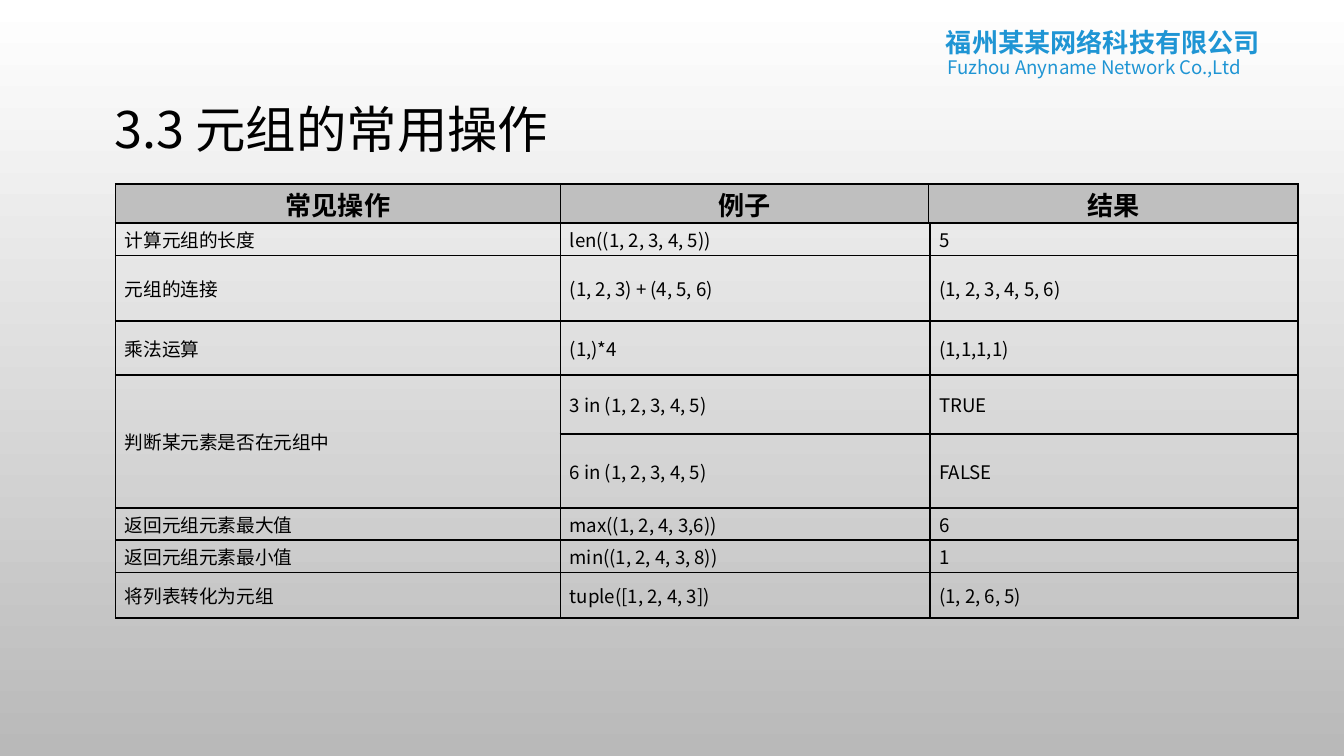
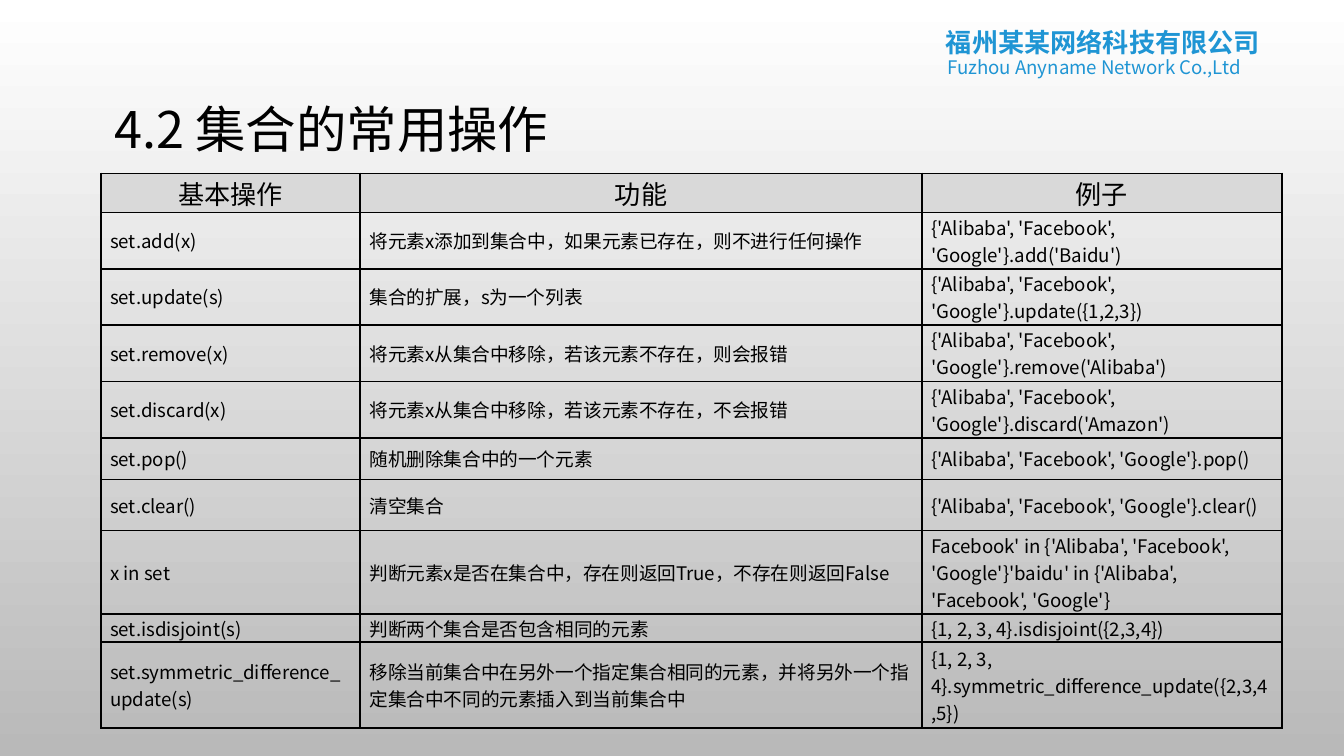
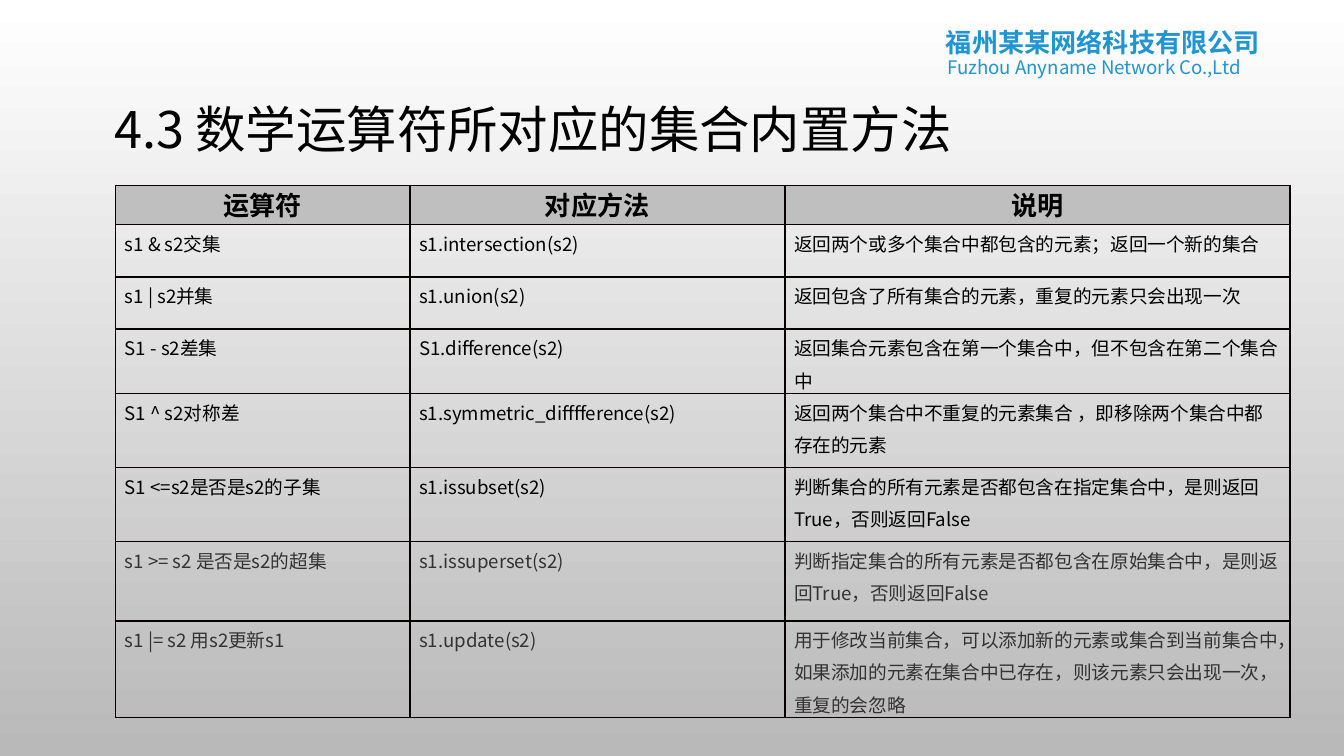
from lxml.etree import SubElement as Sub
from pptx import Presentation
from pptx.dml.color import RGBColor
from pptx.enum.text import MSO_ANCHOR as Anchor, MSO_AUTO_SIZE as Auto, PP_ALIGN as Align
from pptx.oxml.ns import qn
from pptx.util import Inches, Pt

FONT = "Noto Sans CJK SC"
BLACK = RGBColor(0x00, 0x00, 0x00)
INK = RGBColor(0x08, 0x00, 0x00)
SOFT = RGBColor(0x33, 0x33, 0x33)
BLUE = RGBColor(0x1F, 0x95, 0xD4)
WHITE = RGBColor(0xFF, 0xFF, 0xFF)
GREY = RGBColor(0xB9, 0xB9, 0xB9)
MID = RGBColor(0xBF, 0xBF, 0xBF)
PALE = RGBColor(0xD9, 0xD9, 0xD9)

# Company lines at the top right: text, place, format
BRAND = [
    ("福州某某网络科技有限公司", (6.94, 0.15, 2.67, 0.34), dict(size=Pt(14), bold=True)),
    ("Fuzhou Anyname Network Co.,Ltd", (6.95, 0.37, 2.66, 0.27), dict(size=Pt(10))),
]

# One dict per slide; None in a row joins the cell to its left,
# or to the one above when it is the first in the row
PAGES = [
    dict(
        title="3.3 元组的常用操作",
        at=(0.86, 1.37), cols=(3.31, 2.74, 0.01, 2.74),
        high=(0.29, 0.24, 0.49, 0.4, 0.44, 0.55, 0.24, 0.24, 0.34),
        head=MID, bold=True, line=BLACK, anchor=Anchor.MIDDLE, space=None, soft=(),
        rows=[
            ("常见操作", "例子", "结果", None),
            ("计算元组的长度", "len((1, 2, 3, 4, 5))", None, "5"),
            ("元组的连接", "(1, 2, 3) + (4, 5, 6)", None, "(1, 2, 3, 4, 5, 6)"),
            ("乘法运算", "(1,)*4", None, "(1,1,1,1)"),
            ("判断某元素是否在元组中", "3 in (1, 2, 3, 4, 5)", None, "TRUE"),
            (None, "6 in (1, 2, 3, 4, 5)", None, "FALSE"),
            ("返回元组元素最大值", "max((1, 2, 4, 3,6))", None, "6"),
            ("返回元组元素最小值", "min((1, 2, 4, 3, 8))", None, "1"),
            ("将列表转化为元组", "tuple([1, 2, 4, 3])", None, "(1, 2, 6, 5)"),
        ],
    ),
    dict(
        title="4.2 集合的常用操作",
        at=(0.75, 1.29), cols=(1.93, 4.18, 2.68),
        high=(0.29, 0.42, 0.42, 0.42, 0.42, 0.31, 0.38, 0.62, 0.21, 0.64),
        head=PALE, bold=False, line=BLACK, anchor=Anchor.MIDDLE, space=None, soft=(),
        rows=[
            ("基本操作", "功能", "例子"),
            ("set.add(x)", "将元素x添加到集合中，如果元素已存在，则不进行任何操作",
             "{'Alibaba', 'Facebook', 'Google'}.add('Baidu')"),
            ("set.update(s)", "集合的扩展，s为一个列表",
             "{'Alibaba', 'Facebook', 'Google'}.update({1,2,3})"),
            ("set.remove(x)", "将元素x从集合中移除，若该元素不存在，则会报错",
             "{'Alibaba', 'Facebook', 'Google'}.remove('Alibaba')"),
            ("set.discard(x)", "将元素x从集合中移除，若该元素不存在，不会报错",
             "{'Alibaba', 'Facebook', 'Google'}.discard('Amazon')"),
            ("set.pop()", "随机删除集合中的一个元素",
             "{'Alibaba', 'Facebook', 'Google'}.pop()"),
            ("set.clear()", "清空集合", "{'Alibaba', 'Facebook', 'Google'}.clear()"),
            ("x in set", "判断元素x是否在集合中，存在则返回True，不存在则返回False",
             "Facebook' in {'Alibaba', 'Facebook', 'Google'}"
             "'baidu' in {'Alibaba', 'Facebook', 'Google'}"),
            ("set.isdisjoint(s)", "判断两个集合是否包含相同的元素",
             "{1, 2, 3, 4}.isdisjoint({2,3,4})"),
            ("set.symmetric_difference_update(s)",
             "移除当前集合中在另外一个指定集合相同的元素，并将另外一个指定集合中不同的元素插入到当前集合中",
             "{1, 2, 3, 4}.symmetric_difference_update({2,3,4,5})"),
        ],
    ),
    dict(
        title="4.3 数学运算符所对应的集合内置方法",
        at=(0.86, 1.38), cols=(2.19, 2.79, 3.76),
        high=(0.29, 0.39, 0.39, 0.48, 0.55, 0.55, 0.59, 0.72),
        head=MID, bold=True, line=INK, anchor=Anchor.TOP, space=1.2, soft=(6, 7),
        rows=[
            ("运算符", "对应方法", "说明"),
            ("s1 & s2交集", "s1.intersection(s2)",
             "返回两个或多个集合中都包含的元素；返回一个新的集合"),
            ("s1 | s2并集", "s1.union(s2)",
             "返回包含了所有集合的元素，重复的元素只会出现一次"),
            ("S1 - s2差集", "S1.difference(s2)",
             "返回集合元素包含在第一个集合中，但不包含在第二个集合中"),
            ("S1 ^ s2对称差", "s1.symmetric_difffference(s2)",
             "返回两个集合中不重复的元素集合 ，即移除两个集合中都存在的元素"),
            ("S1 <=s2是否是s2的子集", "s1.issubset(s2)",
             "判断集合的所有元素是否都包含在指定集合中，是则返回True，否则返回False"),
            ("s1 >= s2 是否是s2的超集", "s1.issuperset(s2)",
             "判断指定集合的所有元素是否都包含在原始集合中，是则返回True，否则返回False"),
            ("s1 |= s2 用s2更新s1", "s1.update(s2)",
             "用于修改当前集合，可以添加新的元素或集合到当前集合中，"
             "如果添加的元素在集合中已存在，则该元素只会出现一次，重复的会忽略"),
        ],
    ),
]


def apply(item, fmt):
    for key, val in fmt.items():
        setattr(item, key, val)


def write(frame, text, color, font, para):
    """Put one formatted paragraph into a text frame."""
    line = frame.paragraphs[0]
    apply(line, para)
    run = line.add_run()
    run.text = text
    apply(run.font, dict(font, name=FONT))
    run.font.color.rgb = color
    Sub(run.font._element, qn("a:ea"), typeface=FONT)


def edge(cell, color):
    """Draw a 1 pt line on all four sides of a cell."""
    props = cell._tc.get_or_add_tcPr()
    for side in ("a:lnL", "a:lnR", "a:lnT", "a:lnB"):
        line = Sub(props, qn(side), w=str(Pt(1)))
        Sub(Sub(line, qn("a:solidFill")), qn("a:srgbClr"), val=str(color))


def paint(master):
    """Give every slide the white to grey background."""
    fill = master.background.fill
    fill.gradient()
    fill.gradient_angle = 270
    for stop, pos, color in zip(fill.gradient_stops, (0, 1), (WHITE, GREY)):
        stop.position = pos
        stop.color.rgb = color


def add_brand(slide):
    for text, place, font in BRAND:
        frame = slide.shapes.add_textbox(*map(Inches, place)).text_frame
        apply(frame, dict(word_wrap=True, auto_size=Auto.SHAPE_TO_FIT_TEXT))
        write(frame, text, BLUE, font, dict(alignment=Align.JUSTIFY))


def add_title(slide, text):
    title = slide.shapes.title
    apply(title, dict(left=Inches(0.75), top=Inches(0.67),
                      width=Inches(8.5), height=Inches(0.62)))
    apply(title.text_frame, dict(vertical_anchor=Anchor.MIDDLE, auto_size=Auto.NONE))
    write(title.text_frame, text, BLACK, dict(size=Pt(27)),
          dict(alignment=Align.LEFT, line_spacing=0.9))


def add_grid(slide, page):
    rows, cols, high = page["rows"], page["cols"], page["high"]
    size = (*page["at"], sum(cols), sum(high))
    table = slide.shapes.add_table(len(rows), len(cols), *map(Inches, size)).table
    apply(table, dict(first_row=False, horz_banding=False))
    for col, wide in zip(table.columns, cols):
        col.width = Inches(wide)
    for row, tall in zip(table.rows, high):
        row.height = Inches(tall)

    for r, row in enumerate(rows):
        for c, text in enumerate(row):
            cell = table.cell(r, c)
            apply(cell, dict(vertical_anchor=page["anchor"], margin_top=0, margin_bottom=0,
                             margin_left=Inches(0.07), margin_right=Inches(0.07)))
            edge(cell, page["line"])
            if r == 0:
                cell.fill.solid()
                cell.fill.fore_color.rgb = page["head"]
                font = dict(size=Pt(14), bold=page["bold"])
                para = dict(alignment=Align.CENTER)
            else:
                cell.fill.background()
                font = dict(size=Pt(10), bold=False)
                para = dict(line_spacing=page["space"])
            if text is None:
                start = table.cell(r, c - 1) if c else table.cell(r - 1, c)
                start.merge(cell)
            else:
                color = SOFT if r in page["soft"] else BLACK
                write(cell.text_frame, text, color, font, para)


def main():
    deck = Presentation()
    wide = Inches(10)
    apply(deck, dict(slide_width=wide, slide_height=wide * 9 // 16))
    paint(deck.slide_master)
    for page in PAGES:
        slide = deck.slides.add_slide(deck.slide_layouts[5])
        add_brand(slide)
        add_title(slide, page["title"])
        add_grid(slide, page)
    deck.save("out.pptx")


if __name__ == "__main__":
    main()
